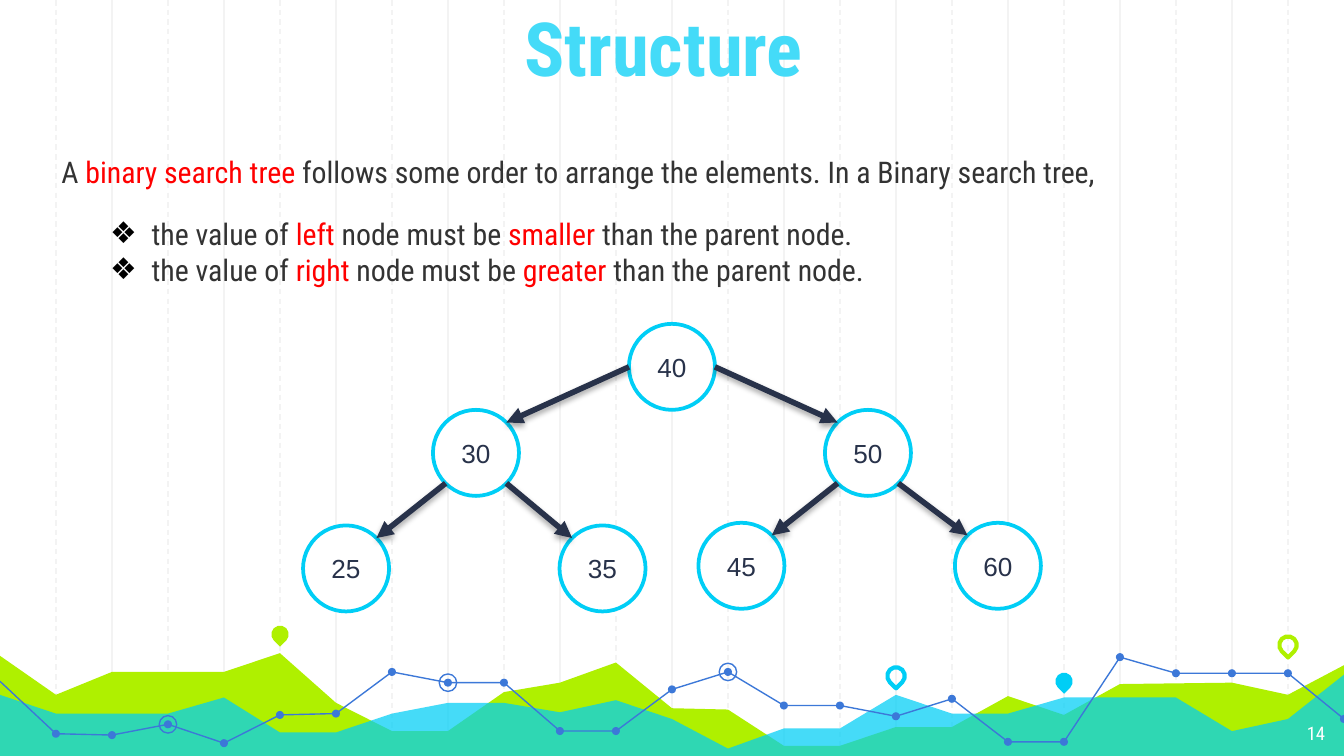
import dataclasses
import typing

import lxml.etree
import pptx
import pptx.dml.color
import pptx.enum.dml
import pptx.enum.shapes
import pptx.enum.text
import pptx.oxml.ns
import pptx.util

WIDTH = 10
HEIGHT = WIDTH * 9 / 16
COLUMNS = 24
COLUMN = WIDTH / COLUMNS
ROW = 0.1
BOTTOM = HEIGHT / ROW
RADIUS = 0.32
DIAGONAL = RADIUS * 0.5 ** 0.5

COLORS = {
    "grid": "F3F3F3", "green": "AFF000", "cyan": "00CEF6", "blue": "3C78D8",
    "title": "44DBF8", "text": "333333", "accent": "FF0000",
    "dark": "28324A", "white": "FFFFFF", "black": "000000",
}
ALIGN = pptx.enum.text.PP_ALIGN
ANCHOR = pptx.enum.text.MSO_ANCHOR
SHAPE = pptx.enum.shapes.MSO_SHAPE
Inches = pptx.util.Inches
Points = list[tuple[float, float]]


@dataclasses.dataclass
class Node:
    value: int
    column: float
    row: float
    parent: typing.Optional[int] = None


@dataclasses.dataclass
class Marker:
    column: float
    row: float
    color: str
    filled: bool


@dataclasses.dataclass
class TextBlock:
    column: float
    row: float
    columns: float
    rows: float
    paragraphs: list[str]  # words between asterisks take the accent colour
    color: str
    font: dict[str, typing.Any]
    align: typing.Any = ALIGN.LEFT
    anchor: typing.Any = ANCHOR.TOP
    inset: float = 0.05
    bullet: bool = False


# (column, row) of the ridges; the row of each chart dot, one per column
GREEN_RIDGE = [
    (0, 48.8), (1, 51.7), (2, 50), (4, 50), (5, 48.6), (6, 52.3), (7, 54.4), (8, 54.4),
    (9, 51.5), (10, 50.8), (11, 49.3), (12, 52.7), (13, 52.8), (14, 55.5), (15, 55.5),
    (16, 54.1), (17, 54.1), (18, 51.8), (19, 53.2), (20, 50.9), (22, 50.8), (23, 51.7),
    (24, 49.5)]
CYAN_RIDGE = [
    (0, 51.7), (1, 53.1), (3, 53.1), (4, 51.9), (5, 54.5), (6, 54.5), (7, 53.1), (8, 52.3),
    (9, 52.3), (10, 53), (11, 52.1), (12, 53.5), (13, 55.7), (14, 54.2), (15, 54.2),
    (16, 51.7), (17, 53.1), (18, 53.1), (19, 51.9), (21, 51.9), (22, 54.4), (23, 53.5),
    (24, 50.2)]
DOT_ROWS = [50.7, 54.6, 54.7, 53.9, 55.3, 53.2, 53.1, 50, 50.8, 50.8, 54.4, 54.4, 51.3,
            50, 52.5, 52.5, 53.3, 52, 55.2, 55.2, 48.9, 50.1, 50.1, 50.1, 53.5]
LINE_PARTS = [(0, 11), (11, 20), (20, 24)]
RINGED_DOTS = [8, 3, 13]
MARKERS = [Marker(5, 47.2, "green", True), Marker(16, 50.3, "cyan", False),
           Marker(19, 50.7, "cyan", True), Marker(23, 48, "green", False)]
NODES = [Node(40, 12, 27.3), Node(50, 15.5, 33.7, 40), Node(30, 8.5, 33.7, 40),
         Node(45, 13.24, 42.1, 50), Node(60, 17.82, 42.1, 50),
         Node(25, 6.18, 42.3, 30), Node(35, 10.76, 42.3, 30)]

BODY = {"name": "Roboto Condensed", "size": pptx.util.Pt(16)}
TEXTS = [
    TextBlock(22.46, 52.85, 1.44, 3.4, ["14"], "white",
              BODY | {"size": pptx.util.Pt(10)}, ALIGN.RIGHT, inset=0.1),
    TextBlock(0, 0, COLUMNS, 7.8, ["Structure "], "title",
              BODY | {"size": pptx.util.Pt(40), "bold": True},
              ALIGN.CENTER, ANCHOR.BOTTOM, 0.1),
    TextBlock(0.86, 10.95, 22.3, 3.7,
              ["A *binary search tree *follows some order to arrange the elements. "
               "In a Binary search tree,"], "text", BODY),
    TextBlock(1.73, 15.55, 14.64, 6.4,
              ["the value of *left* node must be *smaller* than the parent node.",
               "the value of *right* node must be *greater* than the parent node."],
              "text", BODY, bullet=True),
]


def rgb(name: str) -> pptx.dml.color.RGBColor:
    return pptx.dml.color.RGBColor.from_string(COLORS[name])


def add_xml(parent, tag: str, **attributes: str):
    return lxml.etree.SubElement(parent, pptx.oxml.ns.qn(tag), attributes)


def paint(shape, fill: str = "", line: str = "", width: float = 0.75) -> None:
    shape.shadow.inherit = False
    if fill:
        shape.fill.solid()
        shape.fill.fore_color.rgb = rgb(fill)
    else:
        shape.fill.background()
    if line:
        shape.line.color.rgb = rgb(line)
        shape.line.width = pptx.util.Pt(width)
    else:
        shape.line.fill.background()


def add_centered(slide, kind, column: float, row: float, size: float):
    return slide.shapes.add_shape(
        kind, Inches(column * COLUMN - size / 2), Inches(row * ROW - size / 2),
        Inches(size), Inches(size))


def add_outline(slide, points: Points, close: bool):
    corners = [(Inches(column * COLUMN), Inches(row * ROW)) for column, row in points]
    builder = slide.shapes.build_freeform(*corners[0])
    builder.add_line_segments(corners[1:], close=close)
    return builder.convert_to_shape()


def add_line(slide, start: tuple, end: tuple, color: str, width: float):
    """Draw a straight line between two points in inches; return it and its effects."""
    connector = slide.shapes.add_connector(
        pptx.enum.shapes.MSO_CONNECTOR.STRAIGHT, *map(Inches, (*start, *end)))
    connector.line.color.rgb = rgb(color)
    connector.line.width = pptx.util.Pt(width)
    return connector, add_xml(connector._element.spPr, "a:effectLst")


def add_arrow(slide, start: tuple, end: tuple) -> None:
    connector, effects = add_line(slide, start, end, "dark", 3)
    add_xml(connector.line._get_or_add_ln(), "a:tailEnd", type="triangle")
    shadow = add_xml(effects, "a:outerShdw", blurRad="40000", dist="23000",
                     dir="5400000", rotWithShape="0")
    add_xml(add_xml(shadow, "a:srgbClr", val=COLORS["black"]), "a:alpha", val="35000")


def add_run(paragraph, text: str, color: str, font: dict) -> None:
    run = paragraph.add_run()
    run.text = text
    run.font.color.rgb = rgb(color)
    for name, value in font.items():
        setattr(run.font, name, value)


def add_bullet(paragraph) -> None:
    properties = paragraph._p.get_or_add_pPr()
    indent = Inches(0.31)
    properties.set("marL", str(indent))
    properties.set("indent", str(-indent))
    add_xml(add_xml(properties, "a:buClr"), "a:srgbClr", val=COLORS["black"])
    add_xml(properties, "a:buFont", typeface="Arial")
    add_xml(properties, "a:buChar", char="❖")


def add_text(slide, block: TextBlock) -> None:
    box = slide.shapes.add_textbox(
        Inches(block.column * COLUMN), Inches(block.row * ROW),
        Inches(block.columns * COLUMN), Inches(block.rows * ROW))
    frame = box.text_frame
    settings = {"word_wrap": True, "vertical_anchor": block.anchor,
                "margin_top": Inches(block.inset), "margin_bottom": Inches(block.inset)}
    for name, value in settings.items():
        setattr(frame, name, value)
    for index, text in enumerate(block.paragraphs):
        paragraph = frame.add_paragraph() if index else frame.paragraphs[0]
        paragraph.alignment = block.align
        if block.bullet:
            add_bullet(paragraph)
        for part, words in enumerate(text.split("*")):
            add_run(paragraph, words, "accent" if part % 2 else block.color, block.font)


def draw_background(slide) -> None:
    # Vertical grid: solid on even columns, dashed on odd ones
    for first in (2, 1):
        for column in range(first, COLUMNS, 2):
            x = column * COLUMN
            line, _ = add_line(slide, (x, 0), (x, HEIGHT), "grid", 0.75)
            if first == 1:
                line.line.dash_style = pptx.enum.dml.MSO_LINE.DASH
    # Filled ridges, the front one see-through
    for ridge, color in ((GREEN_RIDGE, "green"), (CYAN_RIDGE, "cyan")):
        area = add_outline(slide, ridge + [(COLUMNS, BOTTOM), (0, BOTTOM)], True)
        paint(area, color)
    tint = area._element.spPr.find(".//" + pptx.oxml.ns.qn("a:srgbClr"))
    add_xml(tint, "a:alpha", val="73000")
    # Map pins
    for marker in MARKERS:
        pin = add_centered(slide, SHAPE.TEAR, marker.column, marker.row, 0.13)
        pin.rotation = 135
        paint(pin, marker.color if marker.filled else "",
              "" if marker.filled else marker.color, 2.25)
    # Line chart with dots and rings
    dots = list(enumerate(DOT_ROWS))
    for first, last in LINE_PARTS:
        paint(add_outline(slide, dots[first:last + 1], False), line="blue")
    for column, row in dots[1:]:
        paint(add_centered(slide, SHAPE.OVAL, column, row, 0.06), "blue")
    for column in RINGED_DOTS:
        paint(add_centered(slide, SHAPE.OVAL, column, DOT_ROWS[column], 0.13), line="blue")


def draw_tree(slide) -> None:
    for node in NODES:
        circle = add_centered(slide, SHAPE.OVAL, node.column, node.row, 2 * RADIUS)
        paint(circle, "white", "cyan", 2)
        circle.text_frame.vertical_anchor = ANCHOR.MIDDLE
        paragraph = circle.text_frame.paragraphs[0]
        paragraph.alignment = ALIGN.CENTER
        add_run(paragraph, str(node.value), "dark",
                {"name": "Arial", "size": pptx.util.Pt(14)})
    # Arrows leave the root at its sides, other nodes at their lower diagonals
    by_value = {node.value: node for node in NODES}
    for node in NODES[1:]:
        parent = by_value[node.parent]
        side = 1 if node.column > parent.column else -1
        across, down = (RADIUS, 0) if parent.parent is None else (DIAGONAL, DIAGONAL)
        add_arrow(slide,
                  (parent.column * COLUMN + side * across, parent.row * ROW + down),
                  (node.column * COLUMN - side * DIAGONAL, node.row * ROW - DIAGONAL))


def main() -> None:
    presentation = pptx.Presentation()
    presentation.slide_width, presentation.slide_height = Inches(WIDTH), Inches(HEIGHT)
    slide = presentation.slides.add_slide(presentation.slide_layouts[6])
    draw_background(slide)
    for block in TEXTS:
        add_text(slide, block)
    draw_tree(slide)
    presentation.save("out.pptx")


if __name__ == "__main__":
    main()
